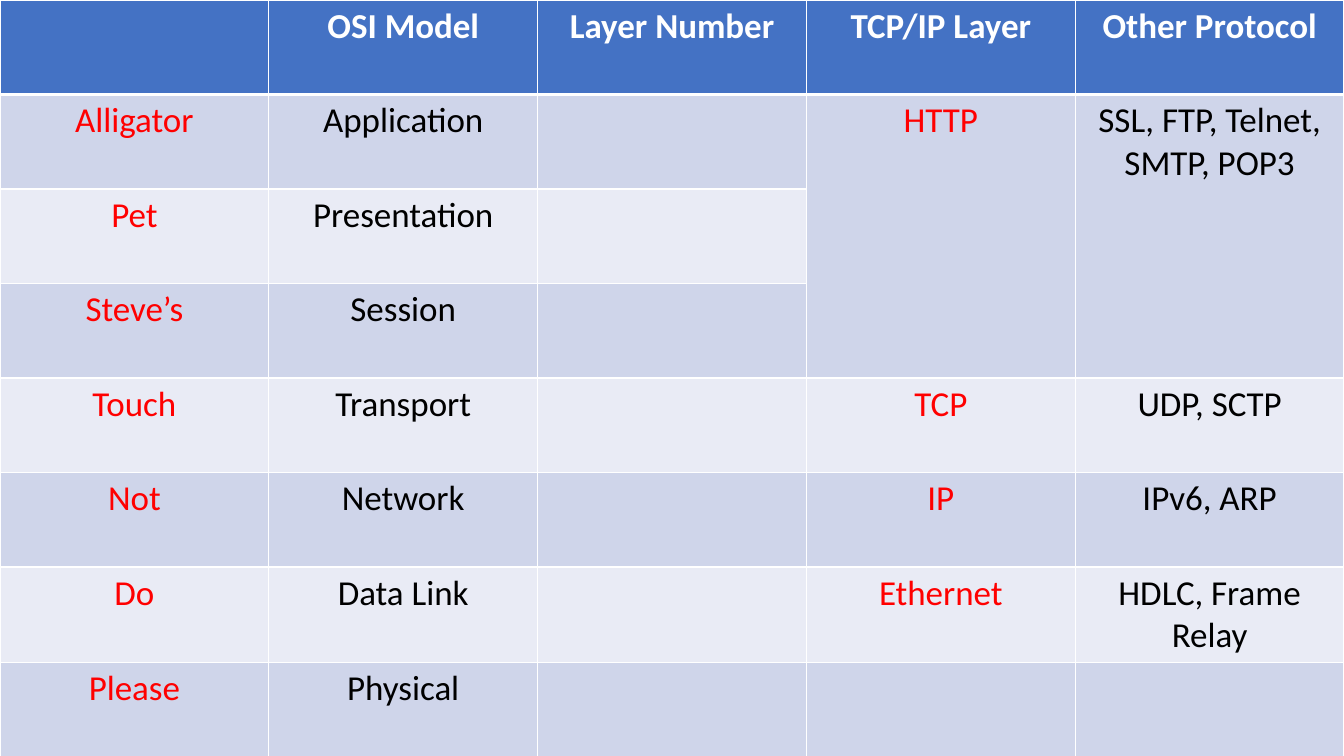
import pptx
import pptx.dml.color
import pptx.enum.text
import pptx.oxml
import pptx.oxml.ns
import pptx.util

HEADINGS = ("", "OSI Model", "Layer Number", "TCP/IP Layer", "Other Protocol")
LAYERS = (
    ("Alligator", "Application", "", "HTTP", "SSL, FTP, Telnet, SMTP, POP3"),
    ("Pet", "Presentation", "", "", ""),
    ("Steve’s", "Session", "", "", ""),
    ("Touch", "Transport", "", "TCP", "UDP, SCTP"),
    ("Not", "Network", "", "IP", "IPv6, ARP"),
    ("Do", "Data Link", "", "Ethernet", "HDLC, Frame Relay"),
    ("Please", "Physical", "", "", ""),
)
HIGHLIGHTED_COLUMNS = (0, 3)
MERGED_COLUMNS = (3, 4)
MERGED_ROWS = (1, 3)

THEME = {
    "font": "Calibri",
    "size": 25,
    "header": "4472C4",
    "bands": ("E9EBF5", "CFD5EA"),
    "heading": "FFFFFF",
    "text": "000000",
    "highlight": "FF0000",
    "border": "FFFFFF",
    "thin": 1,
    "thick": 3,
}


def rgb(name):
    return pptx.dml.color.RGBColor.from_string(name)


def draw_borders(cell, widths):
    properties = cell._tc.get_or_add_tcPr()
    for side, points in widths.items():
        properties.append(pptx.oxml.parse_xml(
            f'<a:ln{side} {pptx.oxml.ns.nsdecls("a")} w="{pptx.util.Pt(points)}">'
            f'<a:solidFill><a:srgbClr val="{THEME["border"]}"/></a:solidFill>'
            f'</a:ln{side}>'))


def write(cell, wording, color, bold):
    paragraph = cell.text_frame.paragraphs[0]
    paragraph.alignment = pptx.enum.text.PP_ALIGN.CENTER
    label = paragraph.add_run()
    label.text = wording
    label.font.color.rgb = rgb(color)
    formats = {"name": THEME["font"], "size": pptx.util.Pt(THEME["size"]), "bold": bold}
    for attribute, value in formats.items():
        setattr(label.font, attribute, value)


presentation = pptx.Presentation()
presentation.slide_width = pptx.util.Cm(33.87)
presentation.slide_height = pptx.util.Cm(19.05)
slide = presentation.slides.add_slide(presentation.slide_layouts[6])

rows = (HEADINGS, *LAYERS)
osi_table = slide.shapes.add_table(
    len(rows), len(HEADINGS), 0, 0,
    presentation.slide_width, presentation.slide_height).table

for row_index, row in enumerate(rows):
    is_header = row_index == 0
    fill = THEME["header"] if is_header else THEME["bands"][row_index % 2]
    widths = dict.fromkeys("LRTB", THEME["thin"])
    if is_header:
        widths["B"] = THEME["thick"]
    elif row_index == 1:
        widths["T"] = THEME["thick"]
    for column_index, wording in enumerate(row):
        cell = osi_table.cell(row_index, column_index)
        draw_borders(cell, widths)
        cell.fill.solid()
        cell.fill.fore_color.rgb = rgb(fill)
        if wording:
            body = "highlight" if column_index in HIGHLIGHTED_COLUMNS else "text"
            write(cell, wording, THEME["heading" if is_header else body], is_header)

first_row, last_row = MERGED_ROWS
for column_index in MERGED_COLUMNS:
    osi_table.cell(first_row, column_index).merge(osi_table.cell(last_row, column_index))

presentation.save("out.pptx")
